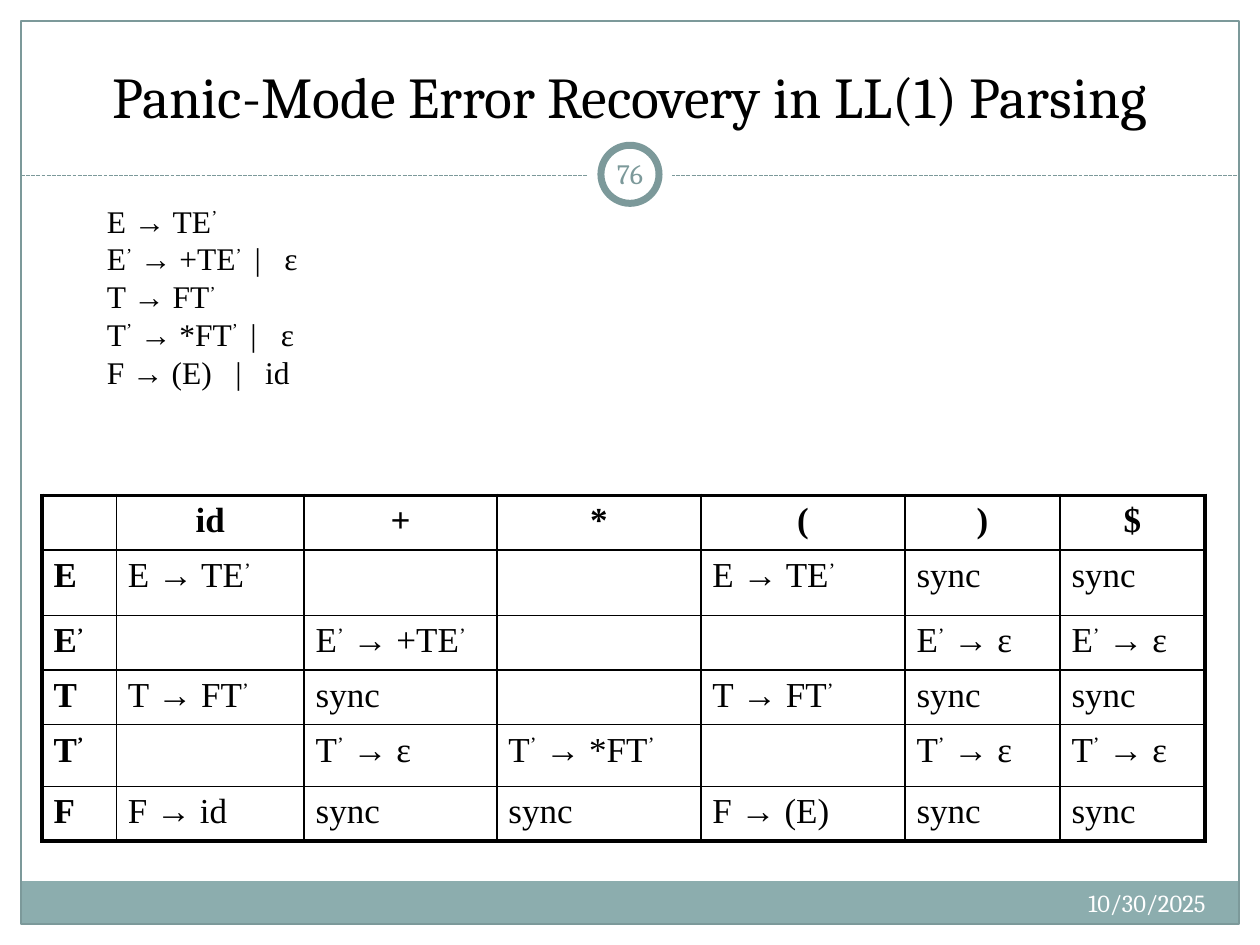
import itertools

import pptx
import pptx.dml.color
import pptx.enum.dml
import pptx.enum.shapes
import pptx.enum.text
import pptx.oxml
import pptx.oxml.ns
import pptx.util

Pt = pptx.util.Pt
ALIGN = pptx.enum.text.PP_ALIGN
ANCHOR = pptx.enum.text.MSO_ANCHOR
SHAPE = pptx.enum.shapes.MSO_SHAPE
NAMESPACE = pptx.oxml.ns.nsdecls("a")

COLORS = {"paper": "FFFFFF", "ink": "000000", "band": "8CADAE", "frame": "7C999A"}
HEADING_FONT = "Cambria"
BODY_FONT = "Times New Roman"

# Each rule with the tab stops of its alternative.
GRAMMAR = [
    ("E → TE’", ()),
    ("E’ → +TE’\t|\tε", (84.5, 101.5)),
    ("T → FT’", ()),
    ("T’ → *FT’\t|\tε", (82, 99.5)),
    ("F → (E)\t|\tid", (73.5, 90.5)),
]
PARSING_TABLE = [
    ["", "id", "+", "*", "(", ")", "$"],
    ["E", "E → TE’", "", "", "E → TE’", "sync", "sync"],
    ["E’", "", "E’ → +TE’", "", "", "E’ → ε", "E’ → ε"],
    ["T", "T → FT’", "sync", "", "T → FT’", "sync", "sync"],
    ["T’", "", "T’ → ε", "T’ → *FT’", "", "T’ → ε", "T’ → ε"],
    ["F", "F → id", "sync", "sync", "F → (E)", "sync", "sync"],
]
COLUMN_WIDTHS = [42.5, 107.3, 110.2, 116.6, 116.6, 88.6, 82.8]
ROW_HEIGHTS = [31.2, 37.4, 31.2, 31.2, 35.2, 31.2]


def rgb(name):
    return pptx.dml.color.RGBColor.from_string(COLORS[name])


def write_text(paragraph, text, size=18, font=BODY_FONT, color="ink",
               bold=False, align=ALIGN.LEFT, tabs=()):
    """Write one paragraph, raising every prime mark as a superscript."""
    paragraph.alignment = align
    if tabs:
        stops = "".join(f'<a:tab pos="{Pt(stop)}" algn="l"/>' for stop in tabs)
        paragraph._p.get_or_add_pPr().append(
            pptx.oxml.parse_xml(f"<a:tabLst {NAMESPACE}>{stops}</a:tabLst>"))
    for raised, letters in itertools.groupby(text, lambda letter: letter == "’"):
        run = paragraph.add_run()
        run.text = "".join(letters)
        run.font.size = Pt(size)
        run.font.name = font
        run.font.bold = bold
        run.font.color.rgb = rgb(color)
        if raised:
            run.font._element.set("baseline", "30000")


def add_text_box(slide, box, anchor=ANCHOR.TOP, inset=None):
    frame = slide.shapes.add_textbox(*map(Pt, box)).text_frame
    frame.word_wrap = True
    frame.vertical_anchor = anchor
    if inset is not None:
        frame.margin_left = frame.margin_right = Pt(inset)
        frame.margin_top = frame.margin_bottom = Pt(inset)
    return frame


def add_plain_shape(slide, kind, box, fill=None, line=None, width=0.75):
    shape = slide.shapes.add_shape(kind, *map(Pt, box))
    shape.shadow.inherit = False
    if fill:
        shape.fill.solid()
        shape.fill.fore_color.rgb = rgb(fill)
    else:
        shape.fill.background()
    if line:
        shape.line.color.rgb = rgb(line)
        shape.line.width = Pt(width)
    else:
        shape.line.fill.background()


def add_frame(slide, box):
    """Border, footer band and dashed divider."""
    left, top, width, height = box
    band = 24.5
    add_plain_shape(slide, SHAPE.RECTANGLE,
                    (left, top + height - band, width, band), fill="band")
    add_plain_shape(slide, SHAPE.RECTANGLE, box, line="frame")
    divider_y = top + 88.5
    divider = slide.shapes.add_connector(
        pptx.enum.shapes.MSO_CONNECTOR.STRAIGHT,
        Pt(left), Pt(divider_y), Pt(left + width), Pt(divider_y))
    divider.line.color.rgb = rgb("frame")
    divider.line.width = Pt(0.75)
    divider.line.dash_style = pptx.enum.dml.MSO_LINE.SQUARE_DOT
    divider._element.spPr.append(
        pptx.oxml.parse_xml(f"<a:effectLst {NAMESPACE}/>"))


def add_page_badge(slide, box, number):
    """White disc that interrupts the divider, with a ringed number on it."""
    left, top, width, height = box
    margin = 7.4
    ring = (left + margin, top + margin, width - 2 * margin, height - 2 * margin)
    add_plain_shape(slide, SHAPE.OVAL, box, fill="paper")
    add_plain_shape(slide, SHAPE.OVAL, ring, fill="paper", line="frame", width=4)
    frame = add_text_box(slide, (left + 6, top + 6, width - 12, 34.5),
                         ANCHOR.MIDDLE, inset=3.6)
    write_text(frame.paragraphs[0], number, size=16, font=HEADING_FONT,
               color="frame", align=ALIGN.CENTER)


def add_title(slide, box, text):
    frame = add_text_box(slide, box, ANCHOR.BOTTOM)
    write_text(frame.paragraphs[0], text, size=33, font=HEADING_FONT,
               align=ALIGN.CENTER)


def add_date(slide, box, text):
    frame = add_text_box(slide, box)
    write_text(frame.paragraphs[0], text, size=14, font=HEADING_FONT,
               color="paper", align=ALIGN.RIGHT)


def add_grammar(slide, box, rules):
    frame = add_text_box(slide, box)
    for index, (rule, tabs) in enumerate(rules):
        paragraph = frame.add_paragraph() if index else frame.paragraphs[0]
        write_text(paragraph, rule, tabs=tabs)


def set_borders(cell, widths):
    properties = cell._tc.get_or_add_tcPr()
    for side, width in widths.items():
        properties.append(pptx.oxml.parse_xml(
            f'<a:ln{side} {NAMESPACE} w="{Pt(width)}"><a:solidFill>'
            f'<a:srgbClr val="{COLORS["ink"]}"/></a:solidFill></a:ln{side}>'))


def add_parsing_table(slide, left, top, rows):
    last_row, last_column = len(rows) - 1, len(rows[0]) - 1
    table = slide.shapes.add_table(
        len(rows), len(rows[0]), Pt(left), Pt(top),
        Pt(sum(COLUMN_WIDTHS)), Pt(sum(ROW_HEIGHTS))).table
    table.first_row = table.horz_banding = False
    for column, width in zip(table.columns, COLUMN_WIDTHS):
        column.width = Pt(width)
    for row, height in zip(table.rows, ROW_HEIGHTS):
        row.height = Pt(height)
    for i, texts in enumerate(rows):
        for j, text in enumerate(texts):
            cell = table.cell(i, j)
            outer = {"L": j == 0, "R": j == last_column,
                     "T": i == 0, "B": i == last_row}
            set_borders(cell, {side: 2.25 if edge else 1
                               for side, edge in outer.items()})
            cell.fill.background()
            cell.margin_left = cell.margin_right = Pt(6.6)
            write_text(cell.text_frame.paragraphs[0], text, size=20,
                       bold=i == 0 or j == 0,
                       align=ALIGN.CENTER if i == 0 else ALIGN.LEFT)


def main():
    presentation = pptx.Presentation()
    presentation.slide_width, presentation.slide_height = Pt(720), Pt(540)
    slide = presentation.slides.add_slide(presentation.slide_layouts[6])
    slide.background.fill.solid()
    slide.background.fill.fore_color.rgb = rgb("paper")

    add_frame(slide, (12, 12, 696, 516))
    add_page_badge(slide, (336, 75.6, 48, 48), "76")
    add_title(slide, (24, 18, 672, 60), "Panic-Mode Error Recovery in LL(1) Parsing")
    add_date(slide, (456, 504, 240, 28.8), "10/30/2025")
    add_grammar(slide, (54, 111.6, 130, 116.6), GRAMMAR)
    add_parsing_table(slide, 24, 283, PARSING_TABLE)
    presentation.save("out.pptx")


if __name__ == "__main__":
    main()
